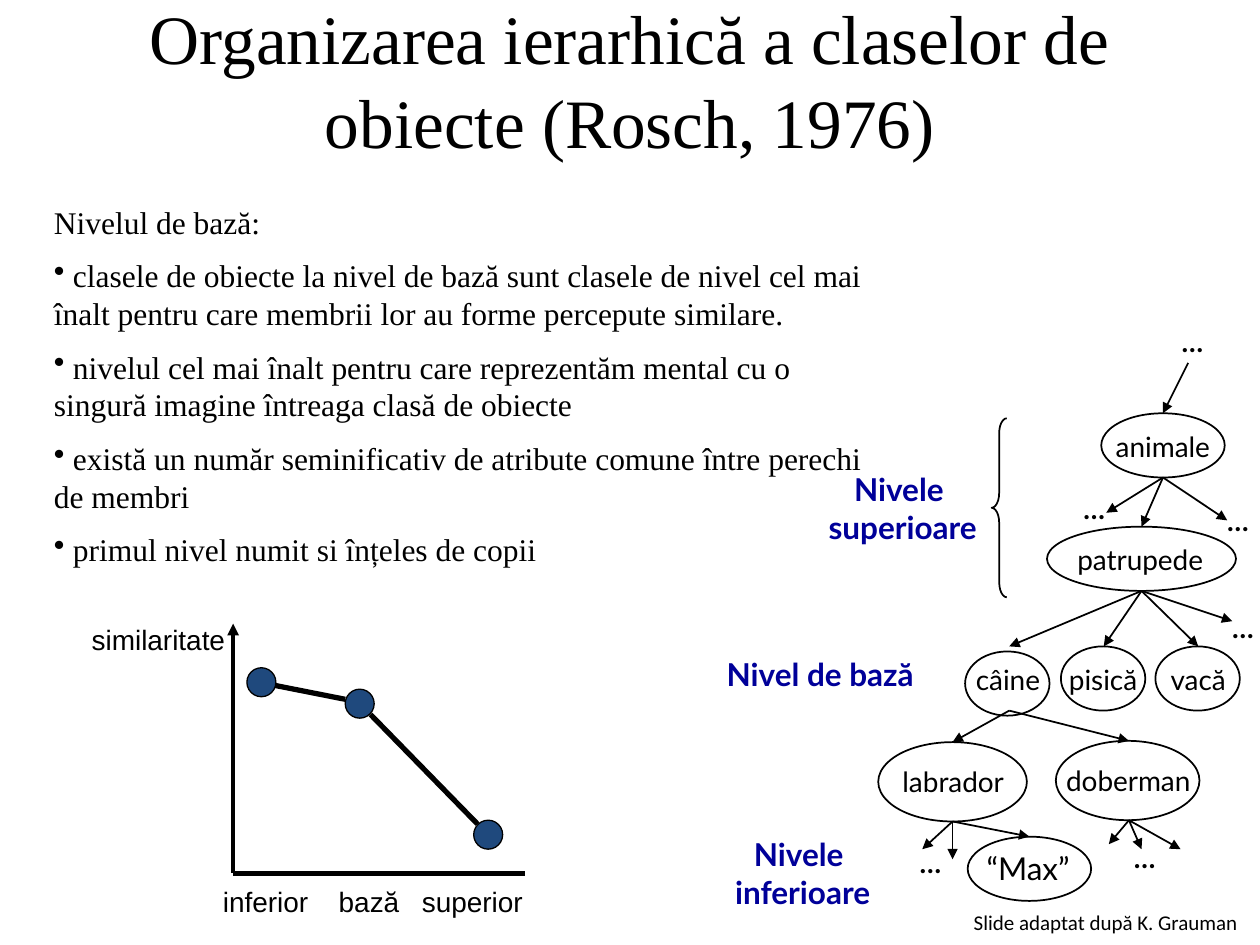
import pptx
import pptx.util
import pptx.dml.color
import pptx.enum.shapes
import pptx.enum.text
import pptx.oxml.ns
import lxml.etree

Inches, Pt = pptx.util.Inches, pptx.util.Pt
RGB = pptx.dml.color.RGBColor.from_string
SHAPE = pptx.enum.shapes.MSO_SHAPE
ALIGN = pptx.enum.text.PP_ALIGN
ANCHOR = pptx.enum.text.MSO_ANCHOR
qn = pptx.oxml.ns.qn

theme = {
    "ink": RGB("000000"), "level": RGB("000099"), "dot": RGB("1F497D"),
    "serif": "Times New Roman", "sans": "Arial", "tree": "Lato", "note": "Calibri",
    "title": Pt(39.6), "body": Pt(18), "label": Pt(16), "small": Pt(12),
}

prs = pptx.Presentation()
prs.slide_width, prs.slide_height = Inches(10), Inches(7.5)
s = prs.slides.add_slide(prs.slide_layouts[6])


def add_text(box, lines, font, size, color="ink", bold=False, align=ALIGN.CENTER, wrap=False):
    tf = s.shapes.add_textbox(*map(Inches, box)).text_frame
    tf.word_wrap = wrap
    for i, line in enumerate(lines):
        p = tf.paragraphs[0] if i == 0 else tf.add_paragraph()
        p.alignment = align
        r = p.add_run()
        r.text = line
        r.font.name, r.font.size, r.font.bold = theme[font], theme[size], bold
        r.font.color.rgb = theme[color]
    return tf


def add_line(start, end, width, arrow=False):
    c = s.shapes.add_connector(pptx.enum.shapes.MSO_CONNECTOR.STRAIGHT, *map(Inches, start + end))
    c.line.color.rgb, c.line.width = theme["ink"], Pt(width)
    if arrow:
        lxml.etree.SubElement(c.line._get_or_add_ln(), qn("a:tailEnd"), type="triangle")
    lxml.etree.SubElement(c._element.spPr, qn("a:effectLst"))


tf = add_text((0.5, 0, 9, 1.25), ["Organizarea ierarhică a claselor de obiecte (Rosch, 1976)"],
              "serif", "title", wrap=True)
tf.vertical_anchor = ANCHOR.MIDDLE

tf = add_text((0.33, 1.56, 6.64, 3.13), [
    "Nivelul de bază:",
    " clasele de obiecte la nivel de bază sunt clasele de nivel cel mai înalt "
    "pentru care membrii lor au forme percepute similare.",
    " nivelul cel mai înalt pentru care reprezentăm mental cu o singură imagine "
    "întreaga clasă de obiecte",
    " există un număr seminificativ de atribute comune între perechi de membri",
    " primul nivel numit si înțeles de copii",
], "serif", "body", align=ALIGN.LEFT, wrap=True)
for p in tf.paragraphs[1:]:
    p.space_before = Pt(9)
    lxml.etree.SubElement(p._p.get_or_add_pPr(), qn("a:buChar"), char="•")

add_line((1.85, 6.93), (1.85, 4.95), 2.25, arrow=True)
for start, end in [((1.85, 6.93), (4.17, 6.93)), ((2.08, 5.42), (2.74, 5.55)),
                   ((2.94, 5.67), (3.79, 6.54))]:
    add_line(start, end, 3)
for x, y in [(1.96, 5.3), (2.74, 5.47), (3.76, 6.51)]:
    sp = s.shapes.add_shape(SHAPE.OVAL, Inches(x), Inches(y), Inches(0.23), Inches(0.23))
    sp.shadow.inherit = False
    sp.fill.solid()
    sp.fill.fore_color.rgb = theme["dot"]
    sp.line.color.rgb, sp.line.width = theme["ink"], Pt(0.75)
for text, x, y, w in [("similaritate", 0.63, 4.89, 1.27), ("inferior", 1.67, 6.97, 0.92),
                      ("bază", 2.59, 6.97, 0.7), ("superior", 3.25, 6.97, 1.1)]:
    add_text((x, y, w, 0.37), [text], "sans", "label", align=ALIGN.LEFT)

for box, lines in [((6.43, 3.68, 1.47, 0.71), ["Nivele ", "superioare"]),
                   ((5.61, 5.15, 1.8, 0.4), ["Nivel de bază"]),
                   ((5.68, 6.58, 1.38, 0.71), ["Nivele ", "inferioare"])]:
    add_text(box, lines, "tree", "body", color="level", bold=True)

sp = s.shapes.add_shape(SHAPE.LEFT_BRACE, Inches(7.87), Inches(3.32), Inches(0.12), Inches(1.42))
sp.adjustments[0] = 0.99
outlines = [sp]

nodes = [
    ("animale", (8.74, 3.28, 0.98, 0.51), (8.73, 3.36, 1, 0.37), "label"),
    ("patrupede", (8.31, 4.18, 1.5, 0.51), (8.43, 4.26, 1.24, 0.37), "label"),
    ("câine", (7.66, 5.17, 0.67, 0.51), (7.63, 5.21, 0.74, 0.37), "label"),
    ("pisică", (8.42, 5.13, 0.67, 0.51), (8.37, 5.21, 0.77, 0.37), "label"),
    ("vacă", (9.17, 5.13, 0.67, 0.51), (9.18, 5.21, 0.66, 0.37), "label"),
    ("labrador", (6.97, 5.89, 1.18, 0.63), (7.04, 6.02, 1.05, 0.37), "label"),
    ("doberman", (8.38, 5.88, 1.14, 0.63), (8.35, 6.01, 1.21, 0.37), "label"),
    ("“Max”", (7.68, 6.64, 0.98, 0.51), (7.71, 6.69, 0.9, 0.4), "body"),
]
for name, oval, box, size in nodes:
    outlines.append(s.shapes.add_shape(SHAPE.OVAL, *map(Inches, oval)))
    add_text(box, [name], "tree", size)
for sp in outlines:
    sp.shadow.inherit = False
    sp.fill.background()
    sp.line.color.rgb, sp.line.width = theme["ink"], Pt(1)

branches = {
    (9.43, 2.88): [(9.23, 3.28)],
    (9.23, 3.79): [(8.78, 4.07), (9.06, 4.18), (9.74, 4.13)],
    (9.06, 4.69): [(8.01, 5.13), (8.76, 5.13), (9.51, 5.13), (9.78, 4.93)],
    (8.01, 5.64): [(7.56, 5.89), (8.96, 5.88)],
    (7.56, 6.52): [(7.32, 6.74), (7.56, 6.82), (8.17, 6.64)],
    (8.96, 6.51): [(8.8, 6.7), (9.06, 6.74), (9.37, 6.74)],
}
for parent, children in branches.items():
    for child in children:
        add_line(parent, child, 1, arrow=True)

for x, y in [(9.28, 2.53), (8.5, 3.85), (9.64, 3.95), (9.68, 4.8), (7.2, 6.66), (8.9, 6.62)]:
    add_text((x, y, 0.36, 0.37), ["…"], "tree", "label", bold=True)

add_text((7.63, 7.17, 2.37, 0.3), ["Slide adaptat după K. Grauman"], "note", "small",
         align=ALIGN.LEFT, wrap=True)

prs.save("out.pptx")
